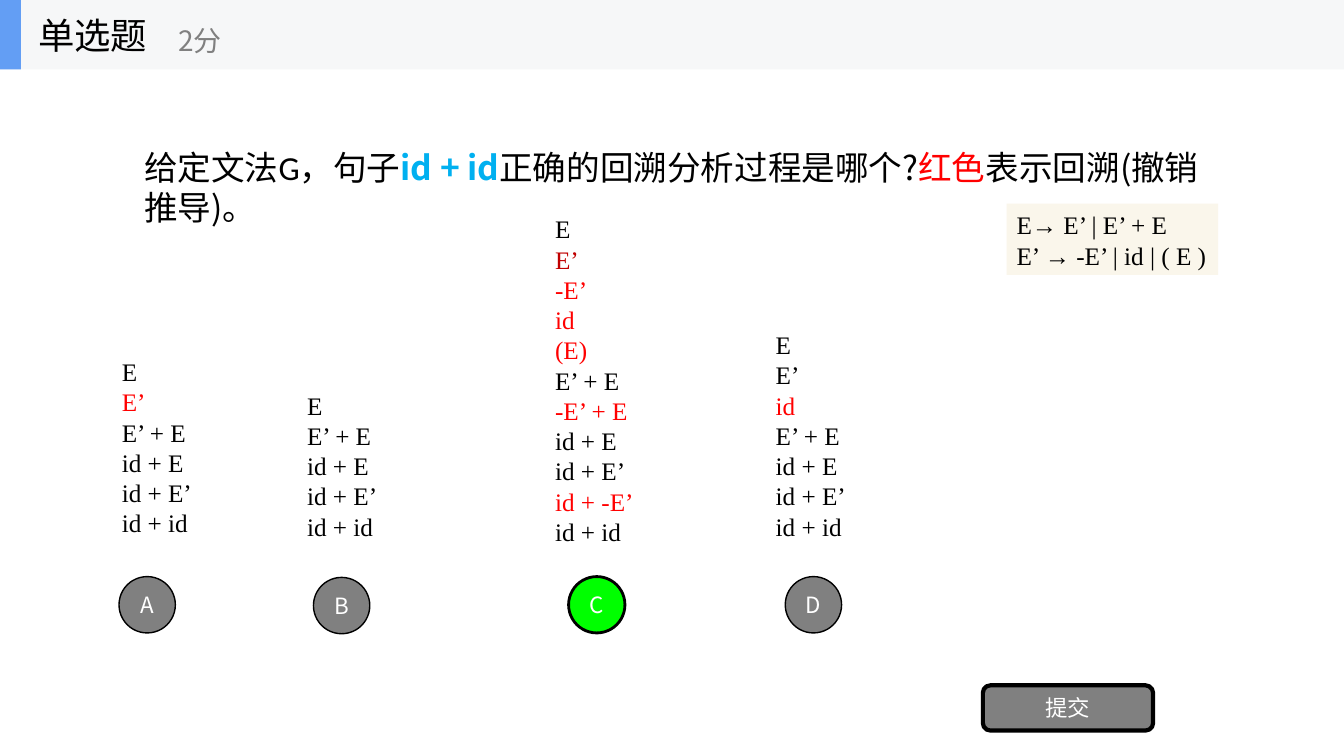
"""Builds a single-choice quiz slide about backtracking parsing."""
from lxml import etree
from pptx import Presentation
from pptx import util as u
from pptx.dml.color import RGBColor
from pptx.enum import shapes, text
from pptx.oxml.ns import qn

BLACK, WHITE, GREY, RED, DARK_RED = "000000", "FFFFFF", "808080", "FF0000", "C00000"
BLUE, GREEN = "00B0F0", "00FF00"
SANS, SANS_JP, SERIF, LATIN = "Noto Sans CJK SC", "Noto Sans CJK JP", "Times New Roman", "Calibri"

BARS = [((0, 0, 33.87, 1.75), "F6F7F8"), ((0, 0, 0.53, 1.75), "639EF4")]
HEADINGS = [
    ("单选题", (0.71, 0, 5.28, 1.75), 26, BLACK),
    ("2分", (4.24, 0.3, 6.35, 1.42), 20, GREY),
]
QUESTION_BOX = (3.38, 1.75, 27.1, 5.94)
QUESTION = [
    ("给定文法", {}),
    ("G", {"name": LATIN}),
    ("，句子", {}),
    ("id + id", {"color": BLUE, "bold": True}),
    ("正确的回溯分析过程是哪个?", {}),
    ("红色", {"color": RED}),
    ("表示回溯(撤销推导)。", {}),
]
GRAMMAR_BOX = (25.37, 5.13, 5.33, 1.8)
GRAMMAR = ["E→ E’ | E’ + E", "E’ → -E’ | id | ( E )"]
SUBMIT, SUBMIT_BOX = "提交", (24.77, 17.27, 4.29, 1.14)

OPTIONS = [
    {"letter": "A", "circle": (3.0, 14.53), "at": (2.82, 8.86), "width": 2.41,
     "steps": ["E", ("E’", RED), "E’ + E", "id + E", "id + E’", "id + id"]},
    {"letter": "B", "circle": (7.9, 14.55), "at": (7.49, 9.7), "width": 3.1,
     "steps": ["E", "E’ + E", "id + E", "id + E’", "id + id"]},
    {"letter": "C", "circle": (14.33, 14.53), "at": (13.74, 5.26), "width": 4.09,
     "fill": GREEN, "line": 2,
     "steps": ["E", ("E’", DARK_RED), ("-E’", RED), ("id", RED), ("(E)", RED),
               "E’ + E", ("-E’ + E", RED), "id + E", "id + E’",
               ("id + -E’", RED), "id + id"]},
    {"letter": "D", "circle": (19.79, 14.53), "at": (19.3, 8.18), "width": 3.81,
     "steps": ["E", "E’", ("id", RED), "E’ + E", "id + E", "id + E’", "id + id"]},
]
CIRCLE, STEP_HEIGHT, INSETS = 1.42, 0.77, 0.25


def rgb(value):
    return RGBColor.from_string(value)


def place(part, box):
    for side, length in zip(("left", "top", "width", "height"), box):
        setattr(part, side, u.Cm(length))


def write(part, lines, style, align="LEFT", anchor="MIDDLE", wrap=True, spacing=None):
    frame = part.text_frame
    layout = {"word_wrap": wrap, "auto_size": text.MSO_AUTO_SIZE.NONE,
              "vertical_anchor": getattr(text.MSO_ANCHOR, anchor)}
    for key, value in layout.items():
        setattr(frame, key, value)
    for number, line in enumerate(lines):
        paragraph = frame.add_paragraph() if number else frame.paragraphs[0]
        paragraph.alignment = getattr(text.PP_ALIGN, align)
        if spacing:
            paragraph.line_spacing = u.Pt(spacing)
        for words, changes in line:
            run = paragraph.add_run()
            run.text = words
            values = {"bold": False, **style, **changes}
            run.font.color.rgb = rgb(values.pop("color"))
            values["size"] = u.Pt(values["size"])
            for key, value in values.items():
                setattr(run.font, key, value)
            east_asian = etree.SubElement(run.font._element, qn("a:ea"))
            east_asian.set("typeface", values["name"])


def add_panel(slide, kind, box, fill, line=0):
    panel = slide.shapes.add_shape(kind, *map(u.Cm, box))
    panel.shadow.inherit = False
    panel.fill.solid()
    panel.fill.fore_color.rgb = rgb(fill)
    if line:
        panel.line.color.rgb = rgb(BLACK)
        panel.line.width = u.Pt(line)
    else:
        panel.line.fill.background()
    return panel


def add_text(slide, box, lines, style, **layout):
    label = slide.shapes.add_textbox(*map(u.Cm, box))
    write(label, lines, style, **layout)


def main():
    deck = Presentation()
    deck.slide_width, deck.slide_height = u.Cm(33.87), u.Cm(19.05)
    slide = deck.slides.add_slide(deck.slide_layouts[5])
    kinds = shapes.MSO_SHAPE
    button_style = {"size": 16, "name": SANS, "color": WHITE}
    grammar_style = {"size": 18, "name": SERIF, "color": BLACK}

    question = slide.shapes.title
    place(question, QUESTION_BOX)
    write(question, [QUESTION], {"size": 24, "name": SANS_JP, "color": BLACK}, spacing=28.6)

    for box, fill in BARS:
        add_panel(slide, kinds.RECTANGLE, box, fill)
    for words, box, size, color in HEADINGS:
        add_text(slide, box, [[(words, {})]], {"size": size, "name": SANS, "color": color})

    buttons = [(kinds.OVAL, (*option["circle"], CIRCLE, CIRCLE), option["letter"],
                option.get("fill", GREY), option.get("line", 1)) for option in OPTIONS]
    buttons.append((kinds.ROUNDED_RECTANGLE, SUBMIT_BOX, SUBMIT, GREY, 3))
    for kind, box, words, fill, line in buttons:
        button = add_panel(slide, kind, box, fill, line)
        write(button, [[(words, {})]], button_style, align="CENTER", wrap=False)

    grammar = add_panel(slide, kinds.RECTANGLE, GRAMMAR_BOX, "FAF6EB")
    write(grammar, [[(rule, {})] for rule in GRAMMAR], grammar_style,
          anchor="TOP", wrap=False, spacing=22)

    for option in OPTIONS:
        steps = [(step, BLACK) if isinstance(step, str) else step for step in option["steps"]]
        box = (*option["at"], option["width"], len(steps) * STEP_HEIGHT + INSETS)
        add_text(slide, box, [[(words, {"color": color})] for words, color in steps],
                 grammar_style, anchor="TOP", spacing=21.6)

    deck.save("out.pptx")


if __name__ == "__main__":
    main()
